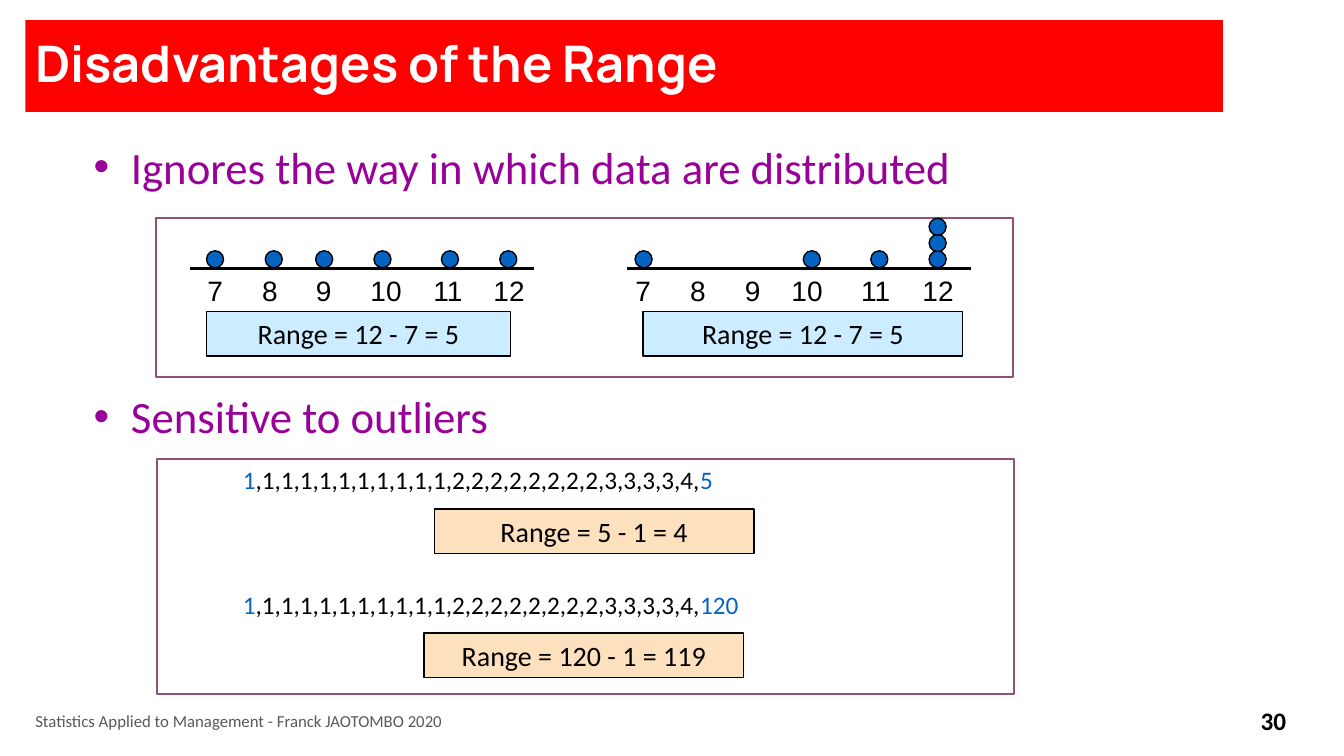
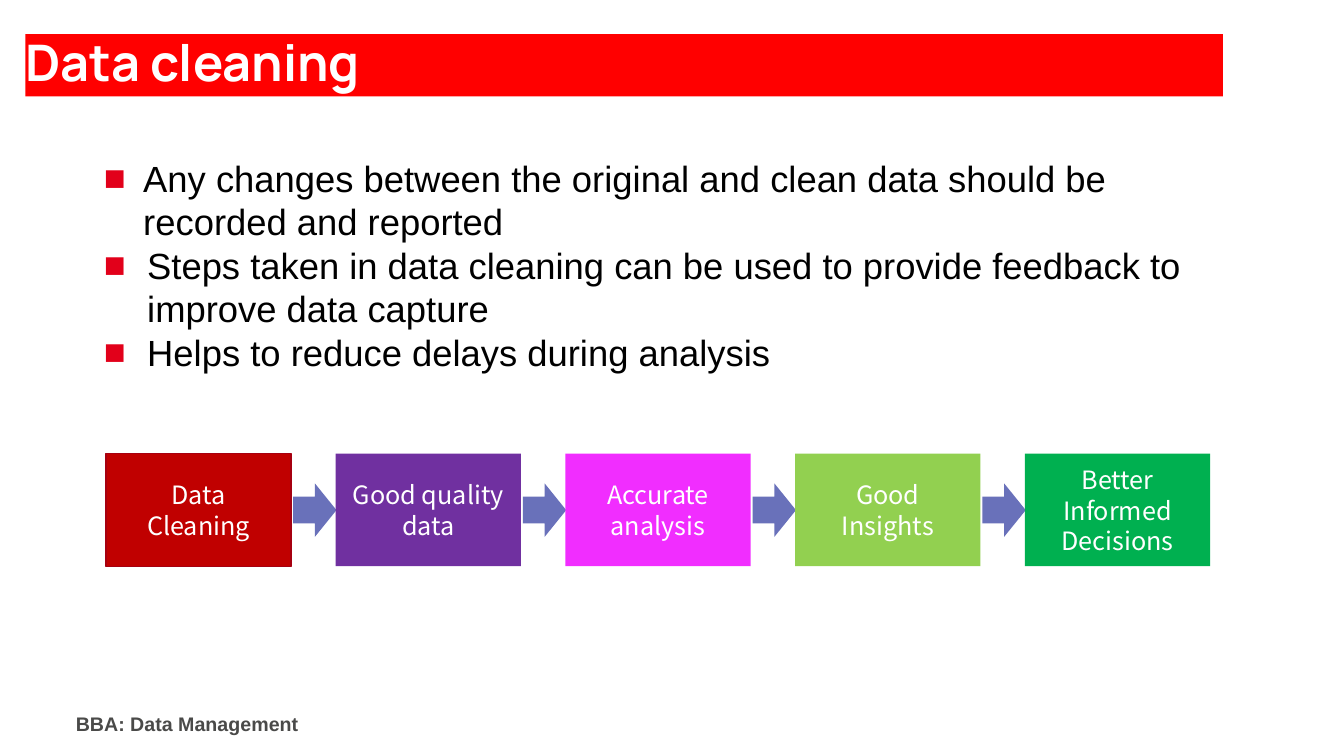
from dataclasses import dataclass

from lxml.etree import SubElement as Sub
from pptx import Presentation as Deck
from pptx.dml.color import RGBColor as Rgb
from pptx.enum.shapes import MSO_CONNECTOR as Link, MSO_SHAPE as Form
from pptx.enum.text import MSO_ANCHOR as Anchor, MSO_AUTO_SIZE as Fit, PP_ALIGN as Align
from pptx.oxml.ns import qn
from pptx.util import Cm, Pt

# Shared look
RED, WHITE, BLACK = "FF0000", "FFFFFF", "000000"
BLUE, PLUM, SKY, PEACH = "0563C1", "954F72", "CCECFF", "FDE0BD"
HEAD, BODY, SANS, FLOW = "Manrope", "Calibri", "Arial", "Noto Sans CJK SC"
BAND_X, BAND_W = 0.64, 30.18
PAD = (0.25, 0.13)
DOT, STACK = 0.43, 0.41
AXIS_Y, AXIS_W = 6.77, 8.68


@dataclass
class Box:
    x: float
    y: float
    w: float
    h: float

    def cm(self) -> tuple:
        return Cm(self.x), Cm(self.y), Cm(self.w), Cm(self.h)


@dataclass
class Plot:
    x: float
    ticks: tuple  # centres of the labels 7 to 12
    dots: tuple  # centre and count
    note: Box


@dataclass
class Item:
    text: str
    inset: float
    hang: float
    gap: float = 0


@dataclass
class Step:
    text: str
    fill: str
    line: str | None = None


PLOTS = (
    Plot(4.78, (5.42, 6.8, 8.16, 9.73, 11.29, 12.83),
         ((5.42, 1), (6.9, 1), (8.17, 1), (9.64, 1), (11.34, 1), (12.81, 1)),
         Box(5.21, 7.85, 7.65, 1.12)),
    Plot(15.8, (16.21, 17.59, 18.97, 20.34, 22.07, 23.64),
         ((16.22, 1), (20.46, 1), (22.16, 1), (23.63, 3)),
         Box(16.21, 7.85, 8.05, 1.12)),
)
FRAMES = (Box(3.94, 5.49, 21.59, 4.01), Box(3.96, 11.56, 21.59, 5.92))
SERIES = ",1,1,1,1,1,1,1,1,1,1,2,2,2,2,2,2,2,2,3,3,3,3,4,"
ROWS = (
    (11.56, "5", Box(10.95, 12.83, 8.05, 1.12), "Range = 5 - 1 = 4"),
    (14.73, "120", Box(10.69, 15.95, 8.05, 1.12), "Range = 120 - 1 = 119"),
)
FLAWS = (
    Item("Ignores the way in which data are distributed", 0.94, 0.94),
    Item("Sensitive to outliers", 0.94, 0.94, 140),
)
NOTES = (
    Item("Any changes between the original and clean data should be recorded and reported",
         1.02, 0.99),
    Item("Steps taken in data cleaning can be used to provide feedback to improve data capture",
         1.12, 1.09),
    Item("Helps to reduce delays during analysis", 1.12, 1.09),
)
STEPS = (
    Step("Data Cleaning", "C00000", "A60010"),
    Step("Good quality data", "7030A0"),
    Step("Accurate analysis", "F12DFF"),
    Step("Good Insights", "92D050"),
    Step("Better Informed Decisions", "00B050"),
)


def hue(code: str) -> Rgb:
    return Rgb.from_string(code)


def write(para, text, *, size: float, font: str = BODY, color: str = BLACK,
          bold: bool = False, align=Align.LEFT, lead=None, gap: float = 0) -> None:
    """Fill a paragraph with a string or with (text, colour) spans."""
    para.alignment = align
    para.space_before = Pt(gap)
    if lead:
        para.line_spacing = lead
    for part, tint in ([(text, color)] if isinstance(text, str) else text):
        run = para.add_run()
        run.text = part
        run.font.size, run.font.name, run.font.bold = Pt(size), font, bold
        run.font.color.rgb = hue(tint)


def setup(frame, pad: tuple = PAD, anchor=Anchor.MIDDLE):
    """Set insets and wrap, and return the first paragraph."""
    frame.word_wrap, frame.auto_size = True, Fit.NONE
    frame.vertical_anchor = anchor
    frame.margin_left = frame.margin_right = Cm(pad[0])
    frame.margin_top = frame.margin_bottom = Cm(pad[1])
    return frame.paragraphs[0]


def label(slide, box: Box, text, pad: tuple = PAD, anchor=Anchor.MIDDLE, **style):
    para = setup(slide.shapes.add_textbox(*box.cm()).text_frame, pad, anchor)
    write(para, text, **style)
    return para


def shape(slide, form, box: Box, fill: str | None = None,
          line: str | None = None, width: float = 1):
    item = slide.shapes.add_shape(form, *box.cm())
    item.shadow.inherit = False
    if fill:
        item.fill.solid()
        item.fill.fore_color.rgb = hue(fill)
    else:
        item.fill.background()
    if line:
        item.line.color.rgb = hue(line)
        item.line.width = Pt(width)
    else:
        item.line.fill.background()
    return item


def place(item, box: Box) -> None:
    item.left, item.top, item.width, item.height = box.cm()


def start(deck, text: str, y: float, h: float, pad: tuple):
    """Add a slide with its red title band."""
    slide = deck.slides.add_slide(deck.slide_layouts[1])
    title = slide.shapes.title
    place(title, Box(BAND_X, y, BAND_W, h))
    title.fill.solid()
    title.fill.fore_color.rgb = hue(RED)
    write(setup(title.text_frame, pad), text, size=36, font=HEAD,
          color=WHITE, bold=True, lead=0.9)
    return slide


def bullets(slide, box: Box, items: tuple, mark: str, tint: str,
            pad: tuple = PAD, **style) -> None:
    body = slide.placeholders[1]
    place(body, box)
    frame = body.text_frame
    para = setup(frame, pad, Anchor.TOP)
    for num, item in enumerate(items):
        if num:
            para = frame.add_paragraph()
        write(para, item.text, gap=item.gap, **style)
        props = para._p.get_or_add_pPr()
        props.set("marL", str(Cm(item.inset)))
        props.set("indent", str(-Cm(item.hang)))
        Sub(Sub(props, qn("a:buClr")), qn("a:srgbClr"), val=tint)
        Sub(props, qn("a:buFont"), typeface=SANS)
        Sub(props, qn("a:buChar"), char=mark)


def note(slide, box: Box, text: str, fill: str) -> None:
    item = shape(slide, Form.RECTANGLE, box, fill, BLACK)
    write(setup(item.text_frame), text, size=20, align=Align.CENTER)


def draw(slide, plot: Plot) -> None:
    """Dot plot: axis, stacked dots, tick labels and range."""
    axis = slide.shapes.add_connector(
        Link.STRAIGHT, Cm(plot.x), Cm(AXIS_Y), Cm(plot.x + AXIS_W), Cm(AXIS_Y))
    axis.line.color.rgb = hue(BLACK)
    axis.line.width = Pt(2.25)
    Sub(axis._element.spPr, qn("a:effectLst"))
    for mid, count in plot.dots:
        for level in range(count):
            top = 6.32 - level * STACK
            shape(slide, Form.OVAL, Box(mid - DOT / 2, top, DOT, DOT), BLUE, BLACK)
    # Centred tab stops put each number under its tick
    text = "".join(f"\t{num}" for num in range(7, 13))
    para = label(slide, Box(plot.x, 6.76, 9.1, 1.09), text, (0, 0.13),
                 Anchor.TOP, size=20, font=SANS)
    tabs = Sub(para._p.get_or_add_pPr(), qn("a:tabLst"))
    for tick in plot.ticks:
        Sub(tabs, qn("a:tab"), pos=str(Cm(tick - plot.x)), algn="ctr")
    note(slide, plot.note, "Range = 12 - 7 = 5", SKY)


def spread(deck) -> None:
    slide = start(deck, "Disadvantages of the Range", 0.51, 2.31, PAD)
    bullets(slide, Box(2.11, 3.38, 30.63, 11.43), FLAWS, "•", "990099",
            size=32, color="990099")
    for box in FRAMES:
        shape(slide, Form.RECTANGLE, box, line=PLUM, width=1.5)
    for plot in PLOTS:
        draw(slide, plot)
    # Data rows with the extremes in blue
    for y, last, box, text in ROWS:
        spans = [("1", BLUE), (SERIES, BLACK), (last, BLUE)]
        label(slide, Box(5.87, y, 18, 1.27), spans, anchor=Anchor.TOP, size=18)
        note(slide, box, text, PEACH)
    # Footer and page number
    label(slide, Box(BAND_X, 17.65, 23.88, 1.02),
          "Statistics Applied to Management - Franck JAOTOMBO 2020",
          size=12, color="595959")
    label(slide, Box(31.04, 17.65, 2.11, 1.02), "30", size=18, bold=True,
          align=Align.CENTER)


def clean(deck) -> None:
    slide = start(deck, "Data cleaning", 0.86, 1.57, (0, 0))
    bullets(slide, Box(2.59, 3.86, 27.43, 5.66), NOTES, "■", "E2001A", (0, 0.08),
            size=26, font=SANS, lead=Pt(31))
    # Flow of steps with an arrow in each gap
    for num, step in enumerate(STEPS):
        x = 2.67 + num * 5.79
        item = shape(slide, Form.RECTANGLE, Box(x, 11.43, 4.67, 2.84), step.fill, step.line)
        write(setup(item.text_frame, (0.4, 0)), step.text, size=18, font=FLOW,
              color=WHITE, align=Align.CENTER, lead=1.01)
        if num < len(STEPS) - 1:
            shape(slide, Form.RIGHT_ARROW, Box(x + 4.72, 12.18, 1.09, 1.35), "6971BA")
    label(slide, Box(1.91, 17.81, 7.26, 0.86), "BBA: Data Management", (0, 0),
          size=14, font=SANS, color="4A4A49", bold=True)


def main() -> None:
    deck = Deck()
    deck.slide_width, deck.slide_height = Cm(33.87), Cm(19.05)
    spread(deck)
    clean(deck)
    deck.save("out.pptx")


if __name__ == "__main__":
    main()
